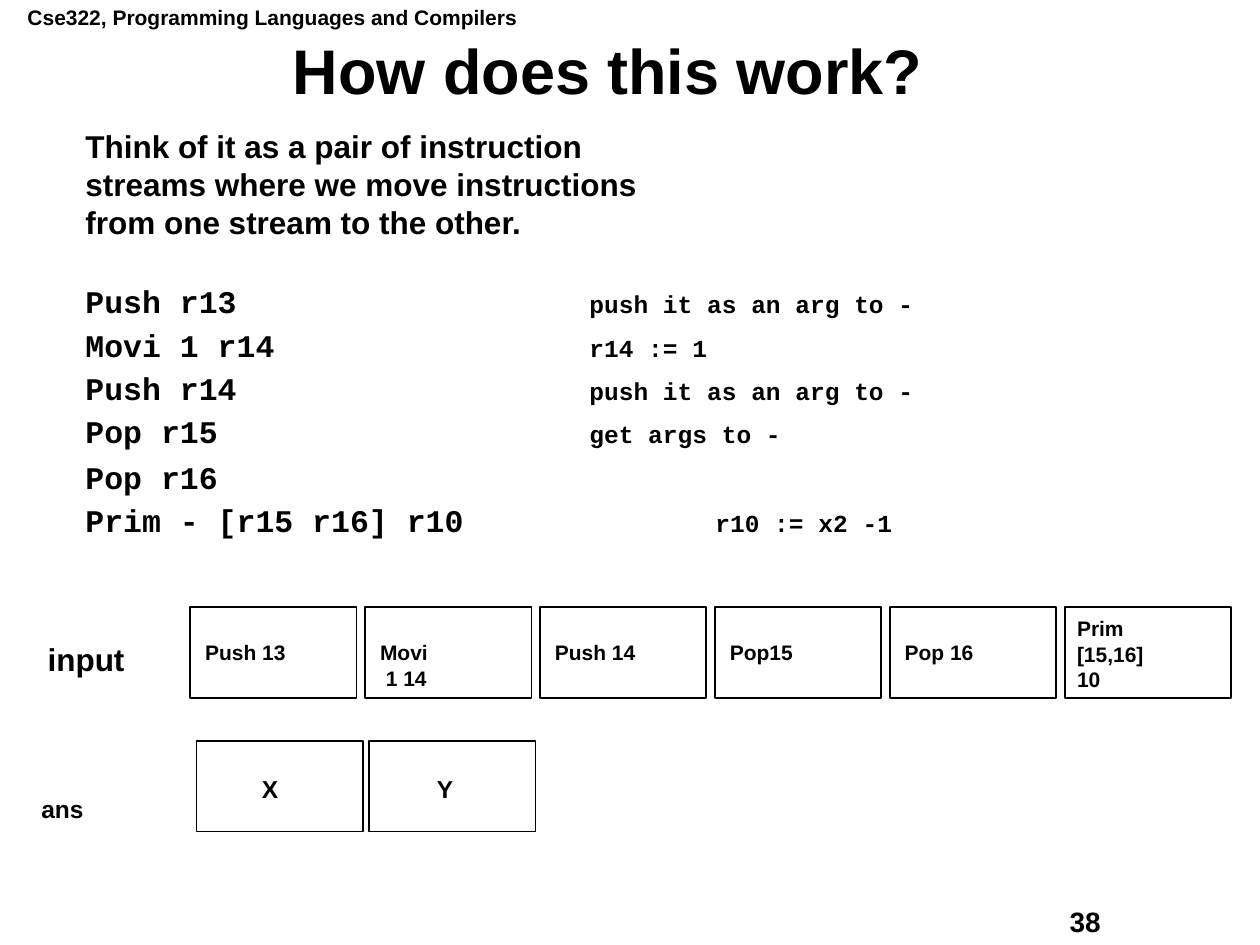
from lxml import etree
from pptx import Presentation
from pptx import util as u
from pptx.dml.color import RGBColor
from pptx.enum import shapes, text
from pptx.oxml.ns import qn

deck = Presentation()
deck.slide_width, deck.slide_height = u.Inches(10), u.Inches(7.5)
slide = deck.slides.add_slide(deck.slide_layouts[6])

# The slide is a grid of 100 columns by 75 rows
COL = deck.slide_width / 100
ROW = deck.slide_height / 75
INK, PAPER = "000000", "FFFFFF"


def write(col, row, cols, rows, lines, size):
    """Add a bold text box with one paragraph per line and return its text frame."""
    frame = slide.shapes.add_textbox(
        int(col * COL), int(row * ROW), int(cols * COL), int(rows * ROW)).text_frame
    frame.word_wrap = True
    frame.auto_size = text.MSO_AUTO_SIZE.NONE
    for i, line in enumerate(lines):
        para = frame.paragraphs[0] if i == 0 else frame.add_paragraph()
        add_run(para, line, size)
    return frame


def add_run(para, words, size, face="Arial"):
    run = para.add_run()
    run.text = words
    run.font.name, run.font.size, run.font.bold = face, u.Pt(size), True
    run.font.color.rgb = RGBColor.from_string(INK)


# Running header and page number
write(1.2, -0.1, 42, 3, ["Cse322, Programming Languages and Compilers"], 12)
write(83.9, 71.3, 12.7, 3.6, ["38"], 16)

# Title
title = write(3.1, 3.1, 90.3, 5.6, ["How does this work?"], 36)
title.vertical_anchor = text.MSO_ANCHOR.MIDDLE
title.paragraphs[0].alignment = text.PP_ALIGN.CENTER
title.paragraphs[0].line_spacing = 0.9

# Explanation, followed by instructions with tabbed comments
body = write(5.8, 9.6, 70, 33.8, [
    "Think of it as a pair of instruction",
    "streams where we move instructions",
    "from one stream to the other.",
], 18)
instructions = [  # code, comment, comment column, space before
    ("Push r13", "push it as an arg to -", 40, 26.4),
    ("Movi 1 r14", "r14 := 1", 40, 5.2),
    ("Push r14", "push it as an arg to -", 40, 5.2),
    ("Pop r15", "get args to -", 40, 5.2),
    ("Pop r16", "", 40, 6.8),
    ("Prim - [r15 r16] r10", "r10 := x2 -1", 50, 5.2),
]
for code, comment, stop, gap in instructions:
    para = body.add_paragraph()
    para.line_spacing, para.space_before = 0.9, u.Pt(gap)
    if comment:
        tabs = etree.SubElement(para._p.get_or_add_pPr(), qn("a:tabLst"))
        etree.SubElement(tabs, qn("a:tab"), pos=str(int(stop * COL)), algn="l")
        add_run(para, code + "\t", 18, "Courier New")
        add_run(para, comment, 14, "Courier New")
    else:
        add_run(para, code, 18, "Courier New")

# Instruction streams: equally spaced cells, each with its own text
CELL_COLS, CELL_ROWS = 13.2, 7.2
input_cells = [  # lines, text offset across and down, text width and height
    (["Push 13"], 0.2, 2.1, 9, 3),
    (["Movi", " 1 14"], 0.2, 2.1, 9, 5),
    (["Push 14"], 0.2, 2.1, 9, 3),
    (["Pop15"], 0.2, 2.1, 9, 3),
    (["Pop 16"], 0.2, 2.1, 9, 3),
    (["Prim", "[15,16]", "10"], 0, 0.2, 9, 7),
]
answer_cells = [(["X"], 4.2, 2.1, 4, 3.3), (["Y"], 4.4, 2.1, 4, 3.3)]
streams = [  # left, top, pitch, text size, cells
    (15.1, 48.2, 13.88, 12, input_cells),
    (15.6, 58.8, 13.7, 14, answer_cells),
]
for left, top, pitch, size, cells in streams:
    for i, (lines, across, down, cols, rows) in enumerate(cells):
        col = left + i * pitch
        cell = slide.shapes.add_shape(
            shapes.MSO_SHAPE.RECTANGLE, int(col * COL), int(top * ROW),
            int(CELL_COLS * COL), int(CELL_ROWS * ROW))
        cell.shadow.inherit = False
        cell.fill.solid()
        cell.fill.fore_color.rgb = RGBColor.from_string(PAPER)
        cell.line.color.rgb = RGBColor.from_string(INK)
        cell.line.width = u.Pt(1)
        write(col + across, top + down, cols, rows, lines, size)

# Stream labels
write(2.8, 50.3, 9, 4, ["input"], 18)
write(2.3, 62.5, 7, 3.3, ["ans"], 14)

deck.save("out.pptx")
